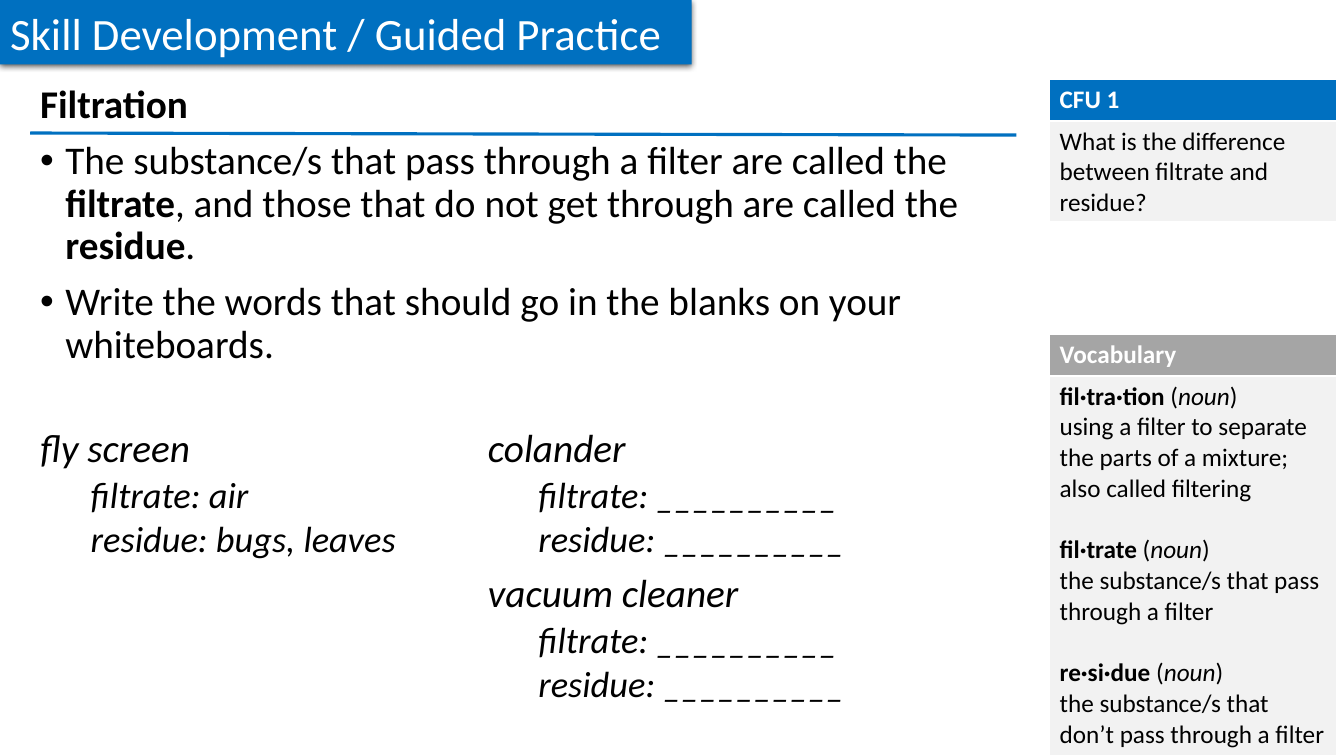
from pptx import Presentation, util as u
from pptx.dml.color import RGBColor
from pptx.enum import shapes, text
from pptx.oxml import parse_xml, ns

COLOURS = {"blue": "0070C0", "grey": "A5A5A5", "pale": "F2F2F2", "white": "FFFFFF", "black": "000000"}
FONT = "Calibri"
PX = u.Inches(1) // 100

BANNER = "Skill Development / Guided Practice"
HEADING = "Filtration"
POINTS = [
    [("The substance/s that pass through a filter are called the ", ""), ("filtrate", "b"),
     (", and those that do not get through are called the ", ""), ("residue", "b"), (".", "")],
    [("Write the words that should go in the blanks on your whiteboards.", "")],
]
BLANK = "__________"
EXAMPLES = [
    [("fly screen", "air", "bugs, leaves"), ("colander", BLANK, BLANK)],
    [None, ("vacuum cleaner", BLANK, BLANK)],
]
QUESTION = "What is the difference between filtrate and residue?"
VOCABULARY = [
    ("fil·tra·tion", "using a filter to separate the parts of a mixture; also called filtering"),
    ("fil·trate", "the substance/s that pass through a filter"),
    ("re·si·due", "the substance/s that don’t pass through a filter"),
]

BANNER_BOX = (0, 0, 686, 64)
BODY_BOX = (30, 79, 964, 610)
RULE_ENDS = (30, 132, 1008, 134)
EXAMPLES_BOX = (30, 417, 888, 288)
SIDE_LEFT, SIDE_WIDTH, SIDE_HEADER = 1041, 285, 41

BULLET = {"marL": 25, "indent": -25}
INDENTED = {"marL": 50, "indent": 0}


def colour(name):
    return RGBColor.from_string(COLOURS[name])


def emu(lengths):
    return [length * PX for length in lengths]


def set_all(target, values):
    for name, value in values.items():
        setattr(target, name, value)


def write(frame, paragraphs, size, ink="black"):
    for index, (runs, layout) in enumerate(paragraphs):
        paragraph = frame.paragraphs[0] if index == 0 else frame.add_paragraph()
        layout = dict(layout)
        indents = layout.pop("indents", {})
        bulleted = layout.pop("bulleted", False)
        points = layout.pop("size", size)
        set_all(paragraph, {"alignment": text.PP_ALIGN.LEFT, **layout})
        properties = paragraph._p.get_or_add_pPr()
        for name, length in indents.items():
            properties.set(name, str(length * PX))
        if bulleted:
            properties.append(parse_xml(f'<a:buFont {ns.nsdecls("a")} typeface="Arial"/>'))
            properties.append(parse_xml(f'<a:buChar {ns.nsdecls("a")} char="•"/>'))
        for words, style in runs:
            run = paragraph.add_run()
            run.text = words
            set_all(run.font, {"name": FONT, "size": u.Pt(points),
                               "bold": "b" in style, "italic": "i" in style})
            run.font.color.rgb = colour(ink)


def paint(cell, fill):
    cell.fill.solid()
    cell.fill.fore_color.rgb = colour(fill)


def add_side_table(slide, top, height, header, fill, paragraphs):
    box = emu((SIDE_LEFT, top, SIDE_WIDTH, height))
    table = slide.shapes.add_table(2, 1, *box).table
    table.horz_banding = False
    for row, length in zip(table.rows, (SIDE_HEADER, height - SIDE_HEADER)):
        row.height = length * PX
    head, body = table.cell(0, 0), table.cell(1, 0)
    paint(head, fill)
    paint(body, "pale")
    write(head.text_frame, [([(header, "b")], {})], 18, "white")
    write(body.text_frame, paragraphs, 18)


def add_banner(slide):
    banner = slide.shapes.title
    set_all(banner, dict(zip(("left", "top", "width", "height"), emu(BANNER_BOX))))
    properties = banner._element.spPr
    properties.append(parse_xml(f'<a:prstGeom {ns.nsdecls("a")} prst="homePlate"><a:avLst/></a:prstGeom>'))
    banner.fill.solid()
    banner.fill.fore_color.rgb = colour("blue")
    properties.append(parse_xml(
        f'<a:effectLst {ns.nsdecls("a")}><a:outerShdw blurRad="{u.Pt(4.5)}" dist="{u.Pt(1.5)}" '
        'dir="5400000" rotWithShape="0"><a:srgbClr val="000000"><a:alpha val="63000"/>'
        '</a:srgbClr></a:outerShdw></a:effectLst>'))
    set_all(banner.text_frame, {"word_wrap": False, "auto_size": text.MSO_AUTO_SIZE.NONE,
                                "vertical_anchor": text.MSO_ANCHOR.MIDDLE})
    write(banner.text_frame, [([(BANNER, "")], {})], 32, "white")


def add_body(slide):
    frame = slide.shapes.add_textbox(*emu(BODY_BOX)).text_frame
    frame.word_wrap = True
    point = {"line_spacing": 0.9, "space_before": u.Pt(10), "indents": BULLET, "bulleted": True}
    heading = ([(HEADING, "b")], {"line_spacing": 0.9})
    write(frame, [heading] + [(runs, point) for runs in POINTS], 28)


def add_rule(slide):
    rule = slide.shapes.add_connector(shapes.MSO_CONNECTOR.STRAIGHT, *emu(RULE_ENDS))
    rule.line.color.rgb = colour("blue")
    rule.line.width = u.Pt(2.25)
    rule._element.spPr.append(parse_xml(f'<a:effectLst {ns.nsdecls("a")}/>'))


def add_examples(slide):
    table = slide.shapes.add_table(len(EXAMPLES), len(EXAMPLES[0]), *emu(EXAMPLES_BOX)).table
    set_all(table, {"first_row": False, "horz_banding": False})
    detail = {"size": 26, "indents": INDENTED, "level": 1}
    for row, examples in enumerate(EXAMPLES):
        for column, example in enumerate(examples):
            cell = table.cell(row, column)
            cell.fill.background()
            if example:
                name, filtrate, residue = example
                write(cell.text_frame, [
                    ([(name, "i")], {}),
                    ([(f"filtrate: {filtrate}", "i")], detail),
                    ([(f"residue: {residue}", "i")], detail),
                ], 28)


def main():
    deck = Presentation()
    deck.slide_width, deck.slide_height = emu((1333, 750))
    slide = deck.slides.add_slide(deck.slide_layouts[5])
    definitions = []
    for index, (word, meaning) in enumerate(VOCABULARY):
        gap = {"space_before": u.Pt(22)} if index else {}
        definitions.append(([(word, "b"), (" (", ""), ("noun", "i"), (")", "")], gap))
        definitions.append(([(meaning, "")], {}))
    add_banner(slide)
    add_side_table(slide, 332, 411, "Vocabulary", "grey", definitions)
    add_body(slide)
    add_rule(slide)
    add_examples(slide)
    add_side_table(slide, 79, 140, "CFU 1", "blue", [([(QUESTION, "")], {})])
    deck.save("out.pptx")


if __name__ == "__main__":
    main()
